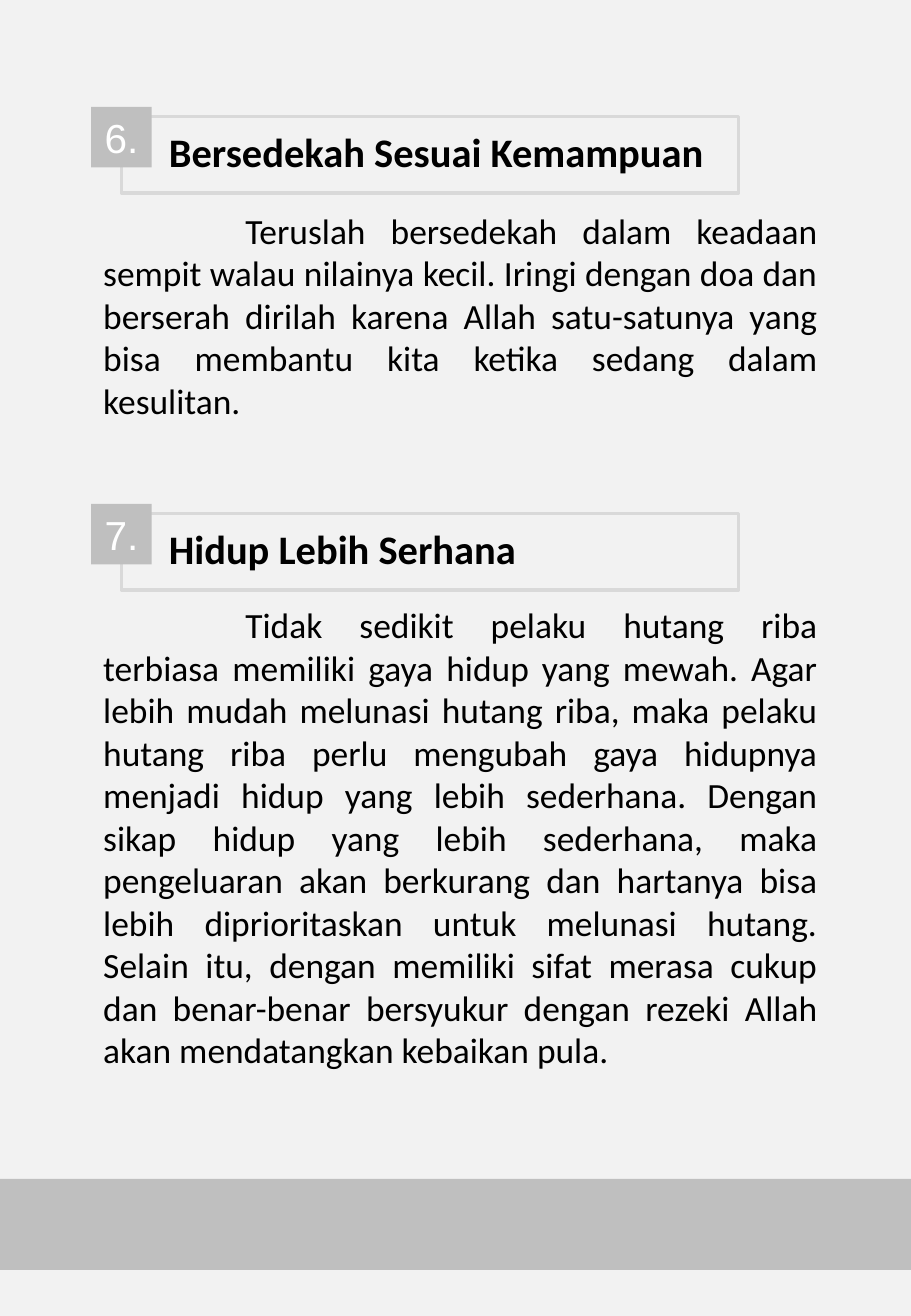
import pptx
import pptx.util
import pptx.dml.color
import pptx.enum.shapes
import pptx.enum.text
import pptx.oxml.ns
import lxml.etree

Inches = pptx.util.Inches
ALIGN = pptx.enum.text.PP_ALIGN
ANCHOR = pptx.enum.text.MSO_ANCHOR
SIZE = pptx.enum.text.MSO_AUTO_SIZE

PAGE = "F2F2F2"
GREY = "BFBFBF"
EDGE = "D9D9D9"
WIDE = 7.5

PARTS = [
    {
        "top": 0.88, "text": 1.67, "high": 1.85, "slots": (0, 2),
        "mark": "6.",
        "head": "Bersedekah Sesuai Kemampuan",
        "body": "Teruslah bersedekah dalam keadaan sempit walau nilainya kecil. "
                "Iringi dengan doa dan berserah dirilah karena Allah satu-satunya "
                "yang bisa membantu kita ketika sedang dalam kesulitan.",
    },
    {
        "top": 4.15, "text": 4.92, "high": 3.95, "slots": (3, 4),
        "mark": "7.",
        "head": "Hidup Lebih Serhana",
        "body": "Tidak sedikit pelaku hutang riba terbiasa memiliki gaya hidup "
                "yang mewah. Agar lebih mudah melunasi hutang riba, maka pelaku "
                "hutang riba perlu mengubah gaya hidupnya menjadi hidup yang lebih "
                "sederhana. Dengan sikap hidup yang lebih sederhana, maka "
                "pengeluaran akan berkurang dan hartanya bisa lebih diprioritaskan "
                "untuk melunasi hutang. Selain itu, dengan memiliki sifat merasa "
                "cukup dan benar-benar bersyukur dengan rezeki Allah akan "
                "mendatangkan kebaikan pula.",
    },
]


def tint(item, code):
    if hasattr(item, "solid"):
        item.solid()
        item = item.fore_color
    item.rgb = pptx.dml.color.RGBColor.from_string(code)


def write(shape, text, size=21, font="Calibri", color="000000", bold=False,
          align=ALIGN.LEFT, anchor=ANCHOR.TOP, fit=SIZE.NONE, indent=0):
    frame = shape.text_frame
    frame.word_wrap = True
    frame.auto_size = fit
    frame.vertical_anchor = anchor
    para = frame.paragraphs[0]
    para.alignment = align
    para.space_before = pptx.util.Pt(0)
    para.line_spacing = 1.0
    props = para._p.get_or_add_pPr()
    props.set("marL", "0")
    props.set("indent", str(Inches(indent)))
    lxml.etree.SubElement(props, pptx.oxml.ns.qn("a:buNone"))
    run = para.add_run()
    run.text = text
    run.font.size = pptx.util.Pt(size)
    run.font.name = font
    run.font.bold = bold
    tint(run.font.color, color)


def place(shape, left, top, width, height):
    shape.left, shape.top = Inches(left), Inches(top)
    shape.width, shape.height = Inches(width), Inches(height)


def block(slide, left, top, width, height, fill=None, line=None):
    shape = slide.shapes.add_shape(
        pptx.enum.shapes.MSO_SHAPE.RECTANGLE,
        Inches(left), Inches(top), Inches(width), Inches(height))
    shape.shadow.inherit = False
    if fill:
        tint(shape.fill, fill)
    else:
        shape.fill.background()
    if line:
        tint(shape.line.fill, line)
        shape.line.width = pptx.util.Pt(2)
    else:
        shape.line.fill.background()
    return shape


def section(slide, part):
    slots = {item.placeholder_format.idx: item for item in slide.placeholders}
    head, body = (slots[key] for key in part["slots"])
    top = part["top"]
    place(body, 0.75, part["text"], 6.08, part["high"])
    write(body, part["body"], align=ALIGN.JUSTIFY, indent=1.17,
          fit=SIZE.SHAPE_TO_FIT_TEXT)
    block(slide, 1, top + 0.08, 5.08, 0.63, line=EDGE)
    place(head, 1.29, top + 0.12, 4.79, 0.58)
    write(head, part["head"], size=24, bold=True)
    mark = block(slide, 0.75, top, 0.5, 0.5, fill=GREY)
    write(mark, part["mark"], size=24, font="Arial", color="FFFFFF",
          align=ALIGN.CENTER, anchor=ANCHOR.MIDDLE)


def main():
    deck = pptx.Presentation()
    deck.slide_width = Inches(WIDE)
    deck.slide_height = Inches(10.84)
    slide = deck.slides.add_slide(deck.slide_layouts.get_by_name("Comparison"))
    tint(slide.background.fill, PAGE)
    for part in PARTS:
        section(slide, part)
    for item in list(slide.placeholders):
        if not item.text_frame.text:
            item.element.getparent().remove(item.element)
    block(slide, 0, 9.71, WIDE, 0.75, fill=GREY)
    deck.save("out.pptx")


if __name__ == "__main__":
    main()
